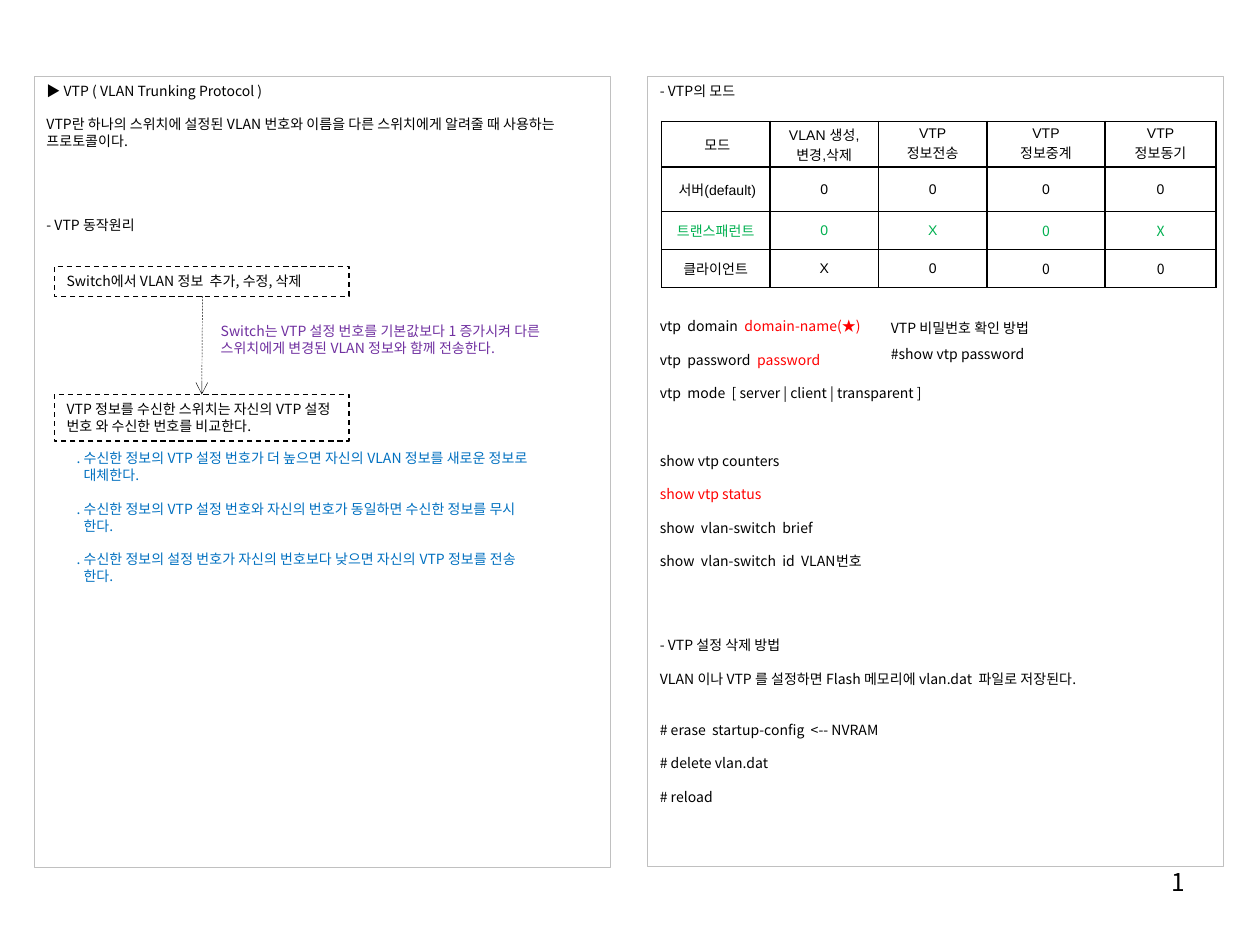
from lxml.etree import SubElement
from pptx import Presentation
from pptx.dml.color import RGBColor
from pptx.enum.dml import MSO_LINE
from pptx.enum.shapes import MSO_CONNECTOR, MSO_SHAPE
from pptx.enum.text import MSO_ANCHOR, PP_ALIGN
from pptx.oxml.ns import qn
from pptx.util import Pt

BLACK, WHITE, GRAY = "000000", "FFFFFF", "C0C0C0"
RED, GREEN, BLUE, PURPLE = "FF0000", "00B050", "0070C0", "7030A0"
NOTO, ARIAL = "Noto Sans CJK KR", "Arial"


def rgb(value):
    return RGBColor.from_string(value)


def assign(target, values):
    for name, value in values.items():
        setattr(target, name, value)


class Deck:
    size, leading = 8, 1.2

    def __init__(self, width, height):
        self.prs = Presentation()
        assign(self.prs, {"slide_width": Pt(width), "slide_height": Pt(height)})
        self.s = self.prs.slides.add_slide(self.prs.slide_layouts[6])

    def run(self, p, text, color=BLACK, font=NOTO, size=size):
        r = p.add_run()
        r.text = text
        assign(r.font, {"name": font, "size": Pt(size)})
        r.font.color.rgb = rgb(color)
        latin = r.font._element.find(qn("a:latin"))
        ea = latin.makeelement(qn("a:ea"), {"typeface": NOTO})
        latin.addnext(ea)

    def fill_text(self, sp, lines, color=BLACK, size=size, align=PP_ALIGN.LEFT,
                  wrap=True, hang=0):
        """lines holds (gap in lines, text or list of (text, colour))."""
        tf = sp.text_frame
        assign(tf, {"word_wrap": wrap, "vertical_anchor": MSO_ANCHOR.TOP})
        pitch = size * self.leading
        for i, (gap, content) in enumerate(lines):
            p = tf.add_paragraph() if i else tf.paragraphs[0]
            assign(p, {"alignment": align, "line_spacing": Pt(pitch),
                       "space_before": Pt(gap * pitch)})
            if hang:
                p._p.get_or_add_pPr().set("marL", str(Pt(hang)))
                p._p.get_or_add_pPr().set("indent", str(-Pt(hang)))
            parts = [(content, color)] if isinstance(content, str) else content
            for text, part_color in parts:
                for j, piece in enumerate(text.split("\n")):
                    if j:
                        p.add_line_break()
                    self.run(p, piece, part_color, size=size)

    def text(self, box, lines, **style):
        sp = self.s.shapes.add_textbox(*map(Pt, box))
        self.fill_text(sp, lines, **style)

    def frame(self, box, lines, color=BLACK, width=0.75, dash=None):
        sp = self.s.shapes.add_shape(MSO_SHAPE.RECTANGLE, *map(Pt, box))
        sp.shadow.inherit = False
        sp.fill.background()
        sp.line.color.rgb = rgb(color)
        assign(sp.line, {"width": Pt(width), "dash_style": dash})
        self.fill_text(sp, lines)

    def arrow(self, *ends):
        c = self.s.shapes.add_connector(MSO_CONNECTOR.STRAIGHT, *map(Pt, ends))
        c.line.color.rgb = rgb(BLACK)
        assign(c.line, {"width": Pt(0.25), "dash_style": MSO_LINE.DASH})
        SubElement(c.line._get_or_add_ln(), qn("a:tailEnd"), type="arrow")
        SubElement(c._element.spPr, qn("a:effectLst"))

    def border(self, cell):
        tcPr = cell._tc.get_or_add_tcPr()
        for i, side in enumerate(("lnL", "lnR", "lnT", "lnB")):
            ln = tcPr.makeelement(qn("a:" + side), {"w": str(Pt(1))})
            fill = SubElement(ln, qn("a:solidFill"))
            SubElement(fill, qn("a:srgbClr"), val=BLACK)
            tcPr.insert(i, ln)

    def table(self, left, top, widths, heights, rows, style):
        box = (left, top, sum(widths), sum(heights))
        tbl = self.s.shapes.add_table(len(rows), len(widths), *map(Pt, box)).table
        assign(tbl, {"first_row": False, "horz_banding": False})
        for col, width in zip(tbl.columns, widths):
            col.width = Pt(width)
        for i, (row, height) in enumerate(zip(rows, heights)):
            tbl.rows[i].height = Pt(height)
            for j, content in enumerate(row):
                cell = tbl.cell(i, j)
                assign(cell, {"vertical_anchor": MSO_ANCHOR.MIDDLE, "margin_left": 0,
                              "margin_right": 0, "margin_top": 0, "margin_bottom": 0})
                cell.fill.solid()
                cell.fill.fore_color.rgb = rgb(WHITE)
                self.border(cell)
                for k, line in enumerate(content.split("\n")):
                    tf = cell.text_frame
                    p = tf.add_paragraph() if k else tf.paragraphs[0]
                    p.alignment = PP_ALIGN.CENTER
                    self.run(p, line, *style(i, j))


deck = Deck(720, 540)

# Left panel
deck.frame((19.5, 43.5, 329, 452), [
    (0, "▶ VTP ( VLAN Trunking Protocol )"),
    (1, "VTP란 하나의 스위치에 설정된 VLAN 번호와 이름을 다른 스위치에게 알려줄 때 사용하는 프로토콜이다."),
    (4, "- VTP 동작원리"),
], GRAY, 0.25)

# Page number
deck.text((516, 492, 168, 37), [(0, "1")], size=14, align=PP_ALIGN.RIGHT)

# Right panel
deck.frame((370, 43.5, 329, 451.5), [
    (0, "- VTP의 모드"),
    (13, [("vtp  domain  ", BLACK), ("domain-name(★)", RED)]),
    (1, [("vtp  password  ", BLACK), ("password", RED)]),
    (1, "vtp  mode  [ server | client | transparent ]"),
    (3, "show vtp counters"),
    (1, [("show vtp status", RED)]),
    (1, "show  vlan-switch  brief"),
    (1, "show  vlan-switch  id  VLAN번호"),
    (4, "- VTP 설정 삭제 방법"),
    (1, "VLAN 이나 VTP 를 설정하면 Flash 메모리에 vlan.dat  파일로 저장된다."),
    (2, "# erase  startup-config  <-- NVRAM"),
    (1, "# delete vlan.dat"),
    (1, "# reload"),
], GRAY, 0.25)

# How VTP works
for top, height, step in (
        (152.3, 17, "Switch에서 VLAN 정보  추가, 수정, 삭제"),
        (225.4, 26.6, "VTP 정보를 수신한 스위치는 자신의 VTP 설정 번호 와 수신한 번호를 비교한다.")):
    deck.frame((31, top, 168.5, height), [(0, step)], dash=MSO_LINE.DASH)
deck.arrow(115.7, 169.3, 115.3, 225.4)
deck.text((119, 180.7, 214, 26.5), [
    (0, "Switch는 VTP 설정 번호를 기본값보다 1 증가시켜 다른 스위치에게 변경된 VLAN 정보와 함께 전송한다."),
], color=PURPLE)
deck.text((36.7, 253.5, 304, 85), [
    (0, ". 수신한 정보의 VTP 설정 번호가 더 높으면 자신의 VLAN 정보를 새로운 정보로\n대체한다."),
    (1, ". 수신한 정보의 VTP 설정 번호와 자신의 번호가 동일하면 수신한 정보를 무시\n한다."),
    (1, ". 수신한 정보의 설정 번호가 자신의 번호보다 낮으면 자신의 VTP 정보를 전송\n한다."),
], color=BLUE, hang=4)

# Mode table
deck.table(378, 69.3, (62, 62, 62, 67.5, 63.5), (26, 25.5, 21.7, 21.7), [
    (" 모드", "VLAN 생성,\n변경,삭제", "VTP\n정보전송", "VTP\n정보중계", "VTP\n정보동기"),
    (" 서버(default)", "0", "0", "0", "0"),
    ("트랜스패런트", "0", "X", "0", "X"),
    ("클라이언트", "X", "0", "0", "0"),
], lambda i, j: (GREEN if i == 2 else BLACK, NOTO if i > 1 and j > 2 else ARIAL))

# Password check
deck.text((502, 179.3, 101.5, 31.7), [
    (0, "VTP 비밀번호 확인 방법"),
    (0.5, "#show vtp password"),
], wrap=False)

deck.prs.save("out.pptx")
